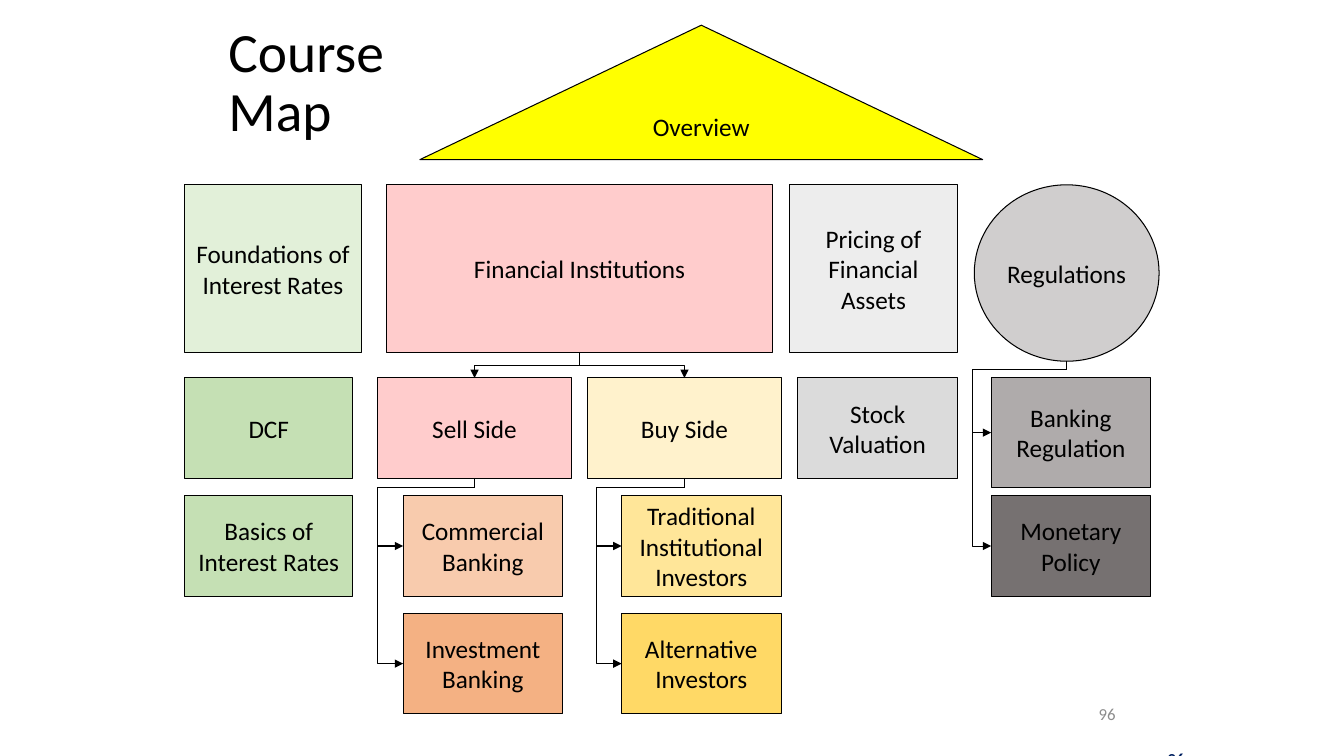
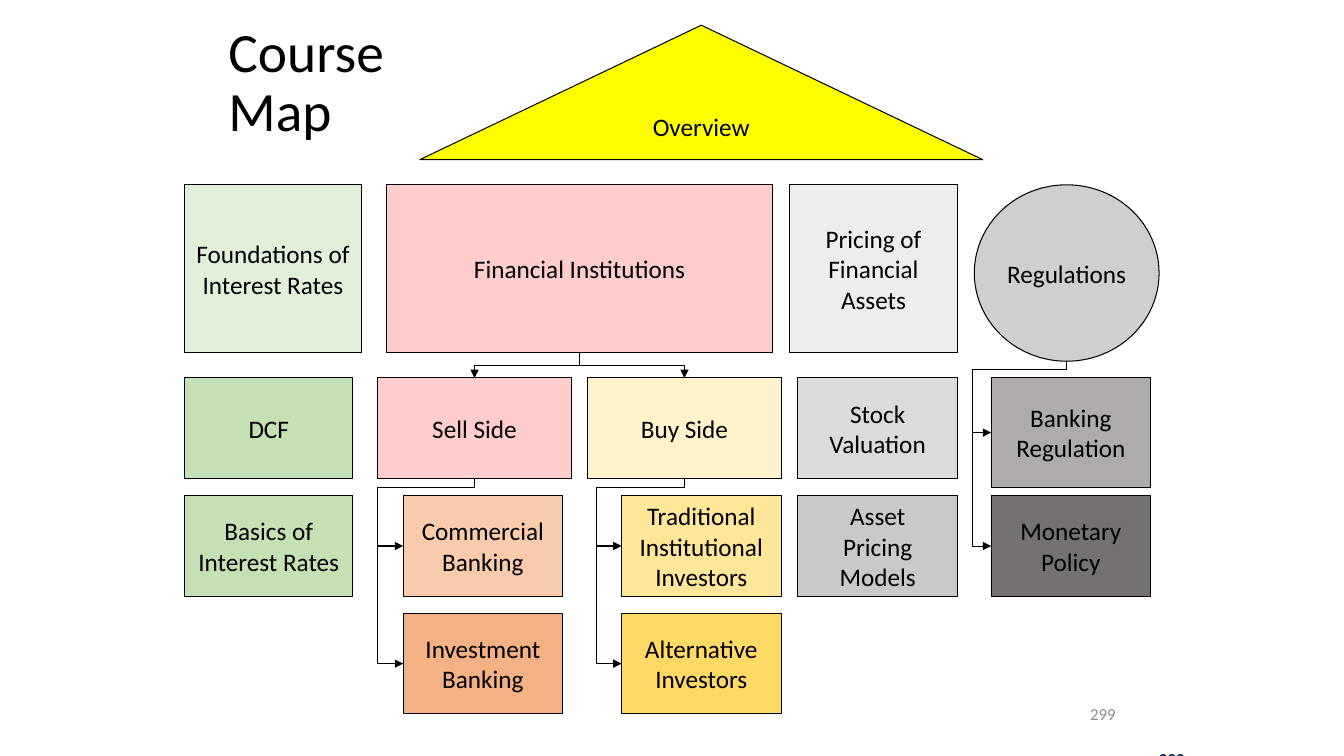
import pptx
import pptx.util
import pptx.dml.color
import pptx.enum.shapes
import pptx.enum.text
import pptx.oxml.ns
import lxml.etree

Color = pptx.dml.color.RGBColor
Kind = pptx.enum.shapes.MSO_SHAPE
Align = pptx.enum.text.PP_ALIGN
qn = pptx.oxml.ns.qn

BLACK = Color(0x00, 0x00, 0x00)
GRAY = Color(0x8C, 0x8C, 0x8C)
NAVY = Color(0x00, 0x20, 0x60)
YELLOW = Color(0xFF, 0xFF, 0x00)
PINK = Color(0xFF, 0xCC, 0xCC)
PALE_GREEN = Color(0xE2, 0xF0, 0xD9)
GREEN = Color(0xC5, 0xE0, 0xB4)
CREAM = Color(0xFF, 0xF2, 0xCC)
LIGHT_GOLD = Color(0xFF, 0xE6, 0x99)
GOLD = Color(0xFF, 0xD9, 0x66)
PEACH = Color(0xF8, 0xCB, 0xAD)
ORANGE = Color(0xF4, 0xB1, 0x83)
SILVER_1 = Color(0xED, 0xED, 0xED)
SILVER_2 = Color(0xDB, 0xDB, 0xDB)
SILVER_3 = Color(0xC9, 0xC9, 0xC9)
STONE_1 = Color(0xD0, 0xCE, 0xCE)
STONE_2 = Color(0xAF, 0xAB, 0xAB)
STONE_3 = Color(0x76, 0x71, 0x71)

GRID = 2.54 / 12
TOP, SECOND, THIRD, FOURTH = 22, 45, 59, 73
TITLE_PLACE = (26, 1.5, 31, 17)
PAGE_PLACE = (106, 82, 28, 6)
CORNER_PLACE = (130.1, 88.4, 12.1, 3.8)

BODY = {"name": "Calibri", "size": pptx.util.Pt(18), "color": BLACK}
TITLE = {"name": "Calibri", "size": pptx.util.Pt(39.6), "color": BLACK}
PAGE = {"name": "Calibri", "size": pptx.util.Pt(12), "color": GRAY}
CORNER = {**PAGE, "color": NAVY, "bold": True}

BOXES = [
    (["Overview"], (50, 3, 67, 16), YELLOW, Kind.FLOWCHART_EXTRACT, False),
    (["Foundations of", "Interest Rates"], (22, TOP, 21, 20), PALE_GREEN, Kind.RECTANGLE, False),
    (["DCF"], (22, SECOND, 20, 12), GREEN, Kind.RECTANGLE, False),
    (["Basics of", "Interest Rates"], (22, THIRD, 20, 12), GREEN, Kind.RECTANGLE, False),
    (["Financial Institutions"], (46, TOP, 46, 20), PINK, Kind.RECTANGLE, False),
    (["Sell Side"], (45, SECOND, 23, 12), PINK, Kind.RECTANGLE, False),
    (["Commercial Banking"], (48, THIRD, 19, 12), PEACH, Kind.RECTANGLE, True),
    (["Investment Banking"], (48, FOURTH, 19, 12), ORANGE, Kind.RECTANGLE, True),
    (["Buy Side"], (70, SECOND, 23, 12), CREAM, Kind.RECTANGLE, False),
    (["Traditional Institutional Investors"], (74, THIRD, 19, 12), LIGHT_GOLD, Kind.RECTANGLE, True),
    (["Alternative Investors"], (74, FOURTH, 19, 12), GOLD, Kind.RECTANGLE, True),
    (["Pricing of Financial Assets"], (94, TOP, 20, 20), SILVER_1, Kind.RECTANGLE, True),
    (["Stock", "Valuation"], (95, SECOND, 19, 12), SILVER_2, Kind.RECTANGLE, False),
    (["Regulations"], (116, TOP, 22, 21), STONE_1, Kind.OVAL, False),
    (["Banking Regulation"], (118, SECOND, 19, 13), STONE_2, Kind.RECTANGLE, True),
    (["Monetary Policy"], (118, THIRD, 19, 12), STONE_3, Kind.RECTANGLE, True),
]
ASSET_MODELS = (["Asset", "Pricing", "Models"], (95, THIRD, 19, 12), SILVER_3, Kind.RECTANGLE, False)

FORKS = [("Financial Institutions", ["Sell Side", "Buy Side"])]
BRANCHES = [
    ("Sell Side", ["Commercial Banking", "Investment Banking"], 3),
    ("Buy Side", ["Traditional Institutional Investors", "Alternative Investors"], 3),
    ("Regulations", ["Banking Regulation", "Monetary Policy"], 2.16),
]

SLIDES = [("96", BOXES), ("299", BOXES + [ASSET_MODELS])]


def lengths(place):
    return [pptx.util.Cm(value * GRID) for value in place]


def write(shape, lines, style, alignment, wrap=True):
    frame = shape.text_frame
    frame.word_wrap = wrap
    frame.vertical_anchor = pptx.enum.text.MSO_ANCHOR.MIDDLE
    frame.text = "\n".join(lines)
    for paragraph in frame.paragraphs:
        paragraph.alignment = alignment
        for name, value in style.items():
            if name == "color":
                paragraph.font.color.rgb = value
            else:
                setattr(paragraph.font, name, value)


def outline(shape):
    shape.line.color.rgb = BLACK
    shape.line.width = pptx.util.Pt(0.75)


def add_box(slide, lines, place, fill, kind, wrap):
    shape = slide.shapes.add_shape(kind, *lengths(place))
    shape.shadow.inherit = False
    shape.fill.solid()
    shape.fill.fore_color.rgb = fill
    outline(shape)
    write(shape, lines, BODY, Align.CENTER, wrap)
    return shape


def add_elbow(slide, parent, child, spine_gap=None):
    elbow = pptx.enum.shapes.MSO_CONNECTOR.ELBOW
    connector = slide.shapes.add_connector(elbow, 0, 0, 0, 0)
    connector.begin_connect(parent, 2)
    connector.end_connect(child, 0 if spine_gap is None else 1)
    if parent.auto_shape_type == Kind.OVAL:
        connector._element.nvCxnSpPr.cNvCxnSpPr.stCxn.idx = 4

    start_x, start_y = parent.left + parent.width // 2, parent.top + parent.height
    if spine_gap is None:
        end_x, end_y = child.left + child.width // 2, child.top
    else:
        end_x, end_y = child.left, child.top + child.height // 2
    run, drop = abs(end_x - start_x), end_y - start_y

    properties = connector._element.spPr
    transform = properties.find(qn("a:xfrm"))
    for name in ("flipH", "flipV"):
        transform.attrib.pop(name, None)
    if end_x > start_x:
        transform.set("flipH", "1")
    transform.set("rot", str((270 if end_x > start_x else 90) * 60000))
    connector.left = (start_x + end_x - drop) // 2
    connector.top = (start_y + end_y - run) // 2
    connector.width, connector.height = drop, run

    if spine_gap is not None:
        geometry = properties.find(qn("a:prstGeom"))
        geometry.set("prst", "bentConnector4")
        guides = geometry.find(qn("a:avLst"))
        if guides is None:
            guides = lxml.etree.SubElement(geometry, qn("a:avLst"))
        step, gap = lengths((1, spine_gap))
        for number, ratio in enumerate((step / drop, 1 + gap / run), 1):
            guide = lxml.etree.SubElement(guides, qn("a:gd"))
            guide.set("name", f"adj{number}")
            guide.set("fmla", f"val {round(ratio * 100000)}")

    outline(connector)
    arrow = lxml.etree.SubElement(properties.find(qn("a:ln")), qn("a:tailEnd"))
    arrow.set("type", "triangle")
    lxml.etree.SubElement(properties, qn("a:effectLst"))


def add_course_map(presentation, number, boxes):
    slide = presentation.slides.add_slide(presentation.slide_layouts[5])
    title = slide.shapes.title
    title.left, title.top, title.width, title.height = lengths(TITLE_PLACE)
    write(title, ["Course Map"], TITLE, Align.LEFT)
    title.text_frame.paragraphs[0].line_spacing = 0.9

    shapes = {" ".join(box[0]): add_box(slide, *box) for box in boxes}
    for parent, children in FORKS:
        for child in children:
            add_elbow(slide, shapes[parent], shapes[child])
    for parent, children, spine_gap in BRANCHES:
        for child in children:
            add_elbow(slide, shapes[parent], shapes[child], spine_gap)

    for place, style in ((PAGE_PLACE, PAGE), (CORNER_PLACE, CORNER)):
        write(slide.shapes.add_textbox(*lengths(place)), [number], style, Align.RIGHT)


def main():
    presentation = pptx.Presentation()
    presentation.slide_width = pptx.util.Cm(33.87)
    presentation.slide_height = pptx.util.Cm(19.05)
    for number, boxes in SLIDES:
        add_course_map(presentation, number, boxes)
    presentation.save("out.pptx")


if __name__ == "__main__":
    main()
